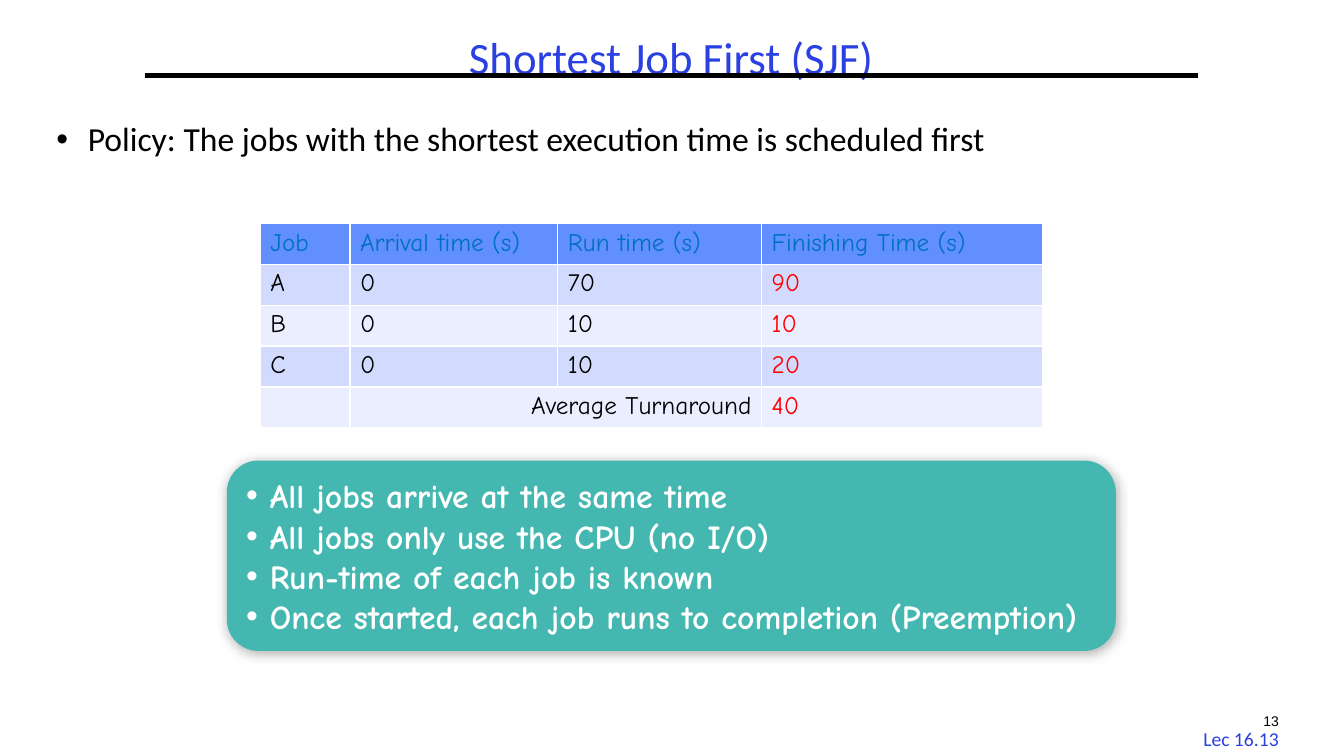
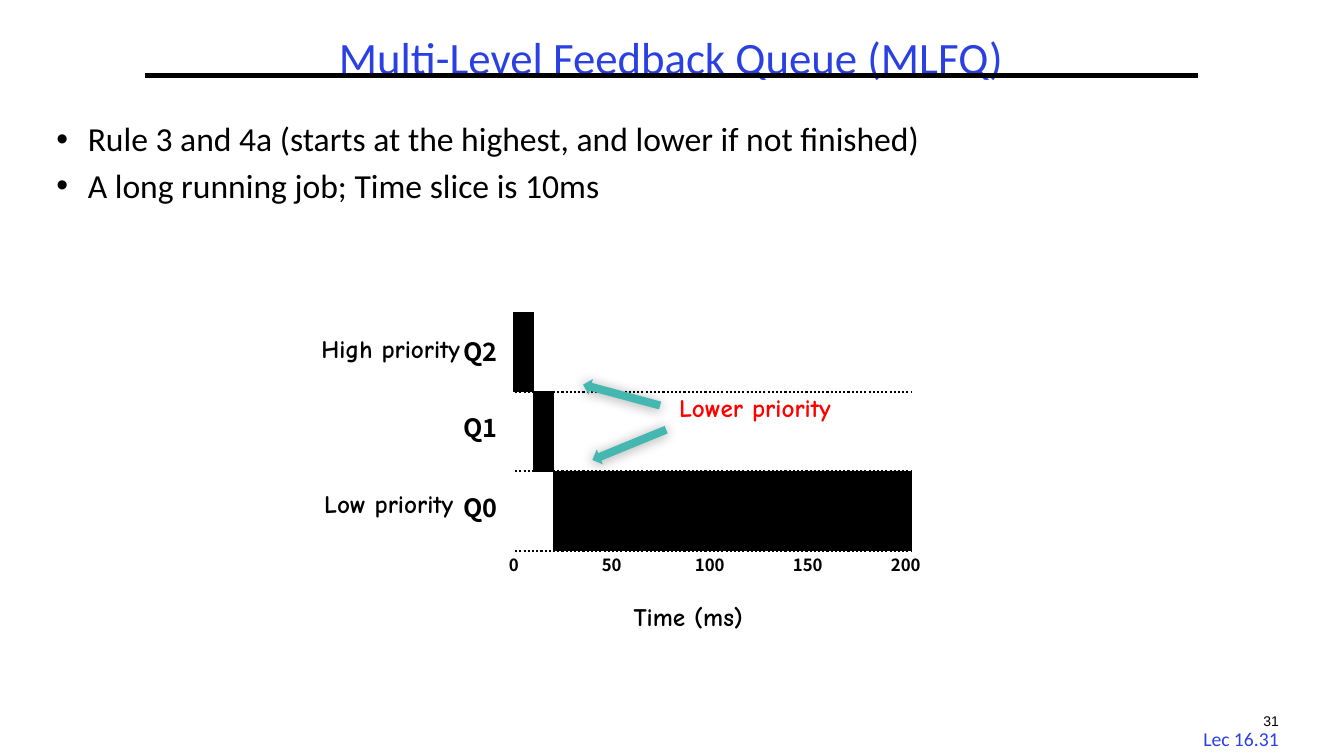
"""Build two lecture slides on CPU scheduling."""
from lxml import etree
from pptx import Presentation
from pptx import util as u
from pptx.dml.color import RGBColor
from pptx.enum import dml, shapes, text
from pptx.oxml import ns

Pt = u.Pt
SHAPE = shapes.MSO_SHAPE
ALIGN = text.PP_ALIGN

COLORS = {
    "blue": "2A40E2",
    "black": "000000",
    "white": "FFFFFF",
    "red": "FF0000",
    "teal": "43B7B0",
    "head": "618FFD",
    "head_text": "0070C0",
    "odd": "D2DBFE",
    "even": "EAEEFF",
}

FORMATS = {
    "title": {"name": "Calibri", "size": Pt(32), "color": "blue"},
    "body": {"name": "Calibri", "size": Pt(24), "color": "black"},
    "lecture": {"name": "Calibri", "size": Pt(14), "color": "blue"},
    "number": {"name": "Arial", "size": Pt(10), "color": "black"},
    "cell": {"name": "Comic Neue", "size": Pt(18), "bold": False},
    "card": {"name": "Comic Neue", "size": Pt(24), "bold": True, "color": "white"},
    "note": {"name": "Comic Neue", "size": Pt(18), "bold": True, "color": "black"},
    "queue": {"name": "Noto Sans CJK KR", "size": Pt(18), "bold": True, "color": "black"},
    "tick": {"name": "Noto Sans CJK KR", "size": Pt(12), "bold": True, "color": "black"},
}


def rgb(name):
    return RGBColor.from_string(COLORS[name])


def points(*lengths):
    return [Pt(length) for length in lengths]


class Deck:
    def __init__(self):
        self.prs = Presentation()
        self.prs.slide_width, self.prs.slide_height = points(960, 540)
        self.s = None

    def slide(self, title, bullets, number):
        self.s = self.prs.slides.add_slide(self.prs.slide_layouts[1])
        self.label(f"Lec 16.{number}", (847.5, 515.5, 78, 24), "lecture", ALIGN.CENTER)
        self.line(103.5, 856, 54, 3)
        self.label(str(number), (890, 505.5, 36, 29), "number", ALIGN.CENTER)
        heading, body = self.s.placeholders
        self.place(heading, 33, 21.6, 893, 42)
        self.place(body, 33, 84, 893, 405)
        self.fill_text(heading.text_frame, [title], "title",
                       {"alignment": ALIGN.CENTER, "line_spacing": 0.9})
        self.fill_text(body.text_frame, bullets, "body", {"line_spacing": 0.9},
                       indent=22.5, gap=7.2)

    def place(self, sp, left, top, width, height):
        sp.left, sp.top, sp.width, sp.height = points(left, top, width, height)

    def fill_text(self, tf, lines, style, layout, indent=0, gap=0, **changes):
        tf.word_wrap = True
        tf.auto_size = text.MSO_AUTO_SIZE.NONE
        for i, line in enumerate(lines):
            p = tf.add_paragraph() if i else tf.paragraphs[0]
            if indent:
                self.bullet(p, indent)
            p.space_before = Pt(gap if i else 0)
            for key, value in layout.items():
                setattr(p, key, value)
            self.run(p, line, style, **changes)

    def run(self, p, words, style, **changes):
        r = p.add_run()
        r.text = words
        for key, value in {**FORMATS[style], **changes}.items():
            if key == "color":
                r.font.color.rgb = rgb(value)
            else:
                setattr(r.font, key, value)

    def bullet(self, p, indent):
        pPr = p._p.get_or_add_pPr()
        pPr.set("marL", str(Pt(indent)))
        pPr.set("indent", str(-Pt(indent)))
        etree.SubElement(pPr, ns.qn("a:buFont")).set("typeface", "Arial")
        etree.SubElement(pPr, ns.qn("a:buChar")).set("char", "•")

    def label(self, words, box, style, align=ALIGN.LEFT, **changes):
        sp = self.s.shapes.add_textbox(*points(*box))
        self.fill_text(sp.text_frame, [words], style, {"alignment": align}, **changes)

    def line(self, start, end, y, width, dash=None):
        rule = self.s.shapes.add_connector(
            shapes.MSO_CONNECTOR.STRAIGHT, *points(start, y, end, y))
        rule.line.color.rgb = rgb("black")
        rule.line.width = Pt(width)
        rule.line.dash_style = dash
        etree.SubElement(rule._element.spPr, ns.qn("a:effectLst"))

    def shape(self, kind, box, color, rotation=0, outline=0, shadow=False):
        sp = self.s.shapes.add_shape(kind, *points(*box))
        sp.rotation = rotation
        sp.fill.solid()
        sp.fill.fore_color.rgb = rgb(color)
        if outline:
            sp.line.color.rgb = rgb(color)
            sp.line.width = Pt(outline)
        else:
            sp.line.fill.background()
        sp.shadow.inherit = False
        if shadow:
            self.soft_shadow(sp)
        return sp

    def soft_shadow(self, sp):
        effects = sp._element.spPr.find(ns.qn("a:effectLst"))
        outer = etree.SubElement(effects, ns.qn("a:outerShdw"), blurRad=str(Pt(9)),
                                 dist=str(Pt(1)), dir="5400000", rotWithShape="0")
        tint = etree.SubElement(outer, ns.qn("a:srgbClr"), val=COLORS["black"])
        etree.SubElement(tint, ns.qn("a:alpha"), val="35000")

    def card(self, lines, box):
        sp = self.shape(SHAPE.ROUNDED_RECTANGLE, box, "teal", shadow=True)
        sp.text_frame.vertical_anchor = text.MSO_ANCHOR.MIDDLE
        self.fill_text(sp.text_frame, lines, "card", {"alignment": ALIGN.LEFT}, indent=17)

    def table(self, rows, left, top, widths, row_height):
        frame = self.s.shapes.add_table(
            len(rows), len(widths),
            *points(left, top, sum(widths), row_height * len(rows)))
        table = frame.table
        for column, width in zip(table.columns, widths):
            column.width = Pt(width)
        for i, row in enumerate(rows):
            fill = "head" if i == 0 else "odd" if i % 2 else "even"
            for j, words in enumerate(row):
                cell = table.cell(i, j)
                cell.fill.solid()
                cell.fill.fore_color.rgb = rgb(fill)
                last = j == len(row) - 1
                color = "head_text" if i == 0 else "red" if last else "black"
                if words:
                    self.run(cell.text_frame.paragraphs[0], words, "cell", color=color)
        return table


def shortest_job_first(deck):
    deck.slide("Shortest Job First (SJF)",
               ["Policy: The jobs with the shortest execution time is scheduled first"], 13)
    rows = [
        ("Job", "Arrival time (s)", "Run time (s)", "Finishing Time (s)"),
        ("A", "0", "70", "90"),
        ("B", "0", "10", "10"),
        ("C", "0", "10", "20"),
        ("", "Average Turnaround", "", "40"),
    ]
    table = deck.table(rows, 186, 159.5, (64, 148.5, 145.5, 201), 29.25)
    average = table.cell(4, 1)
    average.merge(table.cell(4, 2))
    average.text_frame.paragraphs[0].alignment = ALIGN.RIGHT
    deck.card(["All jobs arrive at the same time",
               "All jobs only use the CPU (no I/O)",
               "Run-time of each job is known",
               "Once started, each job runs to completion (Preemption)"],
              (162, 329, 635, 136))


def feedback_queue(deck):
    deck.slide("Multi-Level Feedback Queue (MLFQ)",
               ["Rule 3 and 4a (starts at the highest, and lower if not finished)",
                "A long running job; Time slice is 10ms"], 31)
    left, top, lane, per_ms = 367, 223.2, 56.7, 1.42
    queues = [("Q2", 0, 10, 237), ("Q1", 10, 20, 291), ("Q0", 20, 200, 348)]
    for i, (name, start, end, label_top) in enumerate(queues):
        y = top + i * lane
        deck.line(left + 1, left + 200 * per_ms, y + lane, 1.5,
                  dml.MSO_LINE.ROUND_DOT)
        deck.shape(SHAPE.RECTANGLE,
                   (left + start * per_ms, y, (end - start) * per_ms, lane),
                   "black", outline=0.75)
        deck.label(name, (318, label_top, 50, 29), "queue", ALIGN.CENTER)
    for i in range(5):
        deck.label(str(50 * i), (left + 70 * i - 22, 393, 44, 22), "tick", ALIGN.CENTER)

    notes = [
        ("Time (ms)", 445.5, 426, "black"),
        ("High priority", 222.5, 234.5, "black"),
        ("Low priority", 224.5, 345, "black"),
        ("Lower priority", 478, 276.5, "red"),
    ]
    for words, x, y, color in notes:
        deck.label(words, (x, y, 139, 29), "note", color=color)
    for x, y, angle in [(415.5, 276.5, 15.1), (421, 312, 337.7)]:
        deck.shape(SHAPE.LEFT_ARROW, (x, y, 57, 11.5), "teal", angle, shadow=True)


def main():
    deck = Deck()
    shortest_job_first(deck)
    feedback_queue(deck)
    deck.prs.save("out.pptx")


if __name__ == "__main__":
    main()
